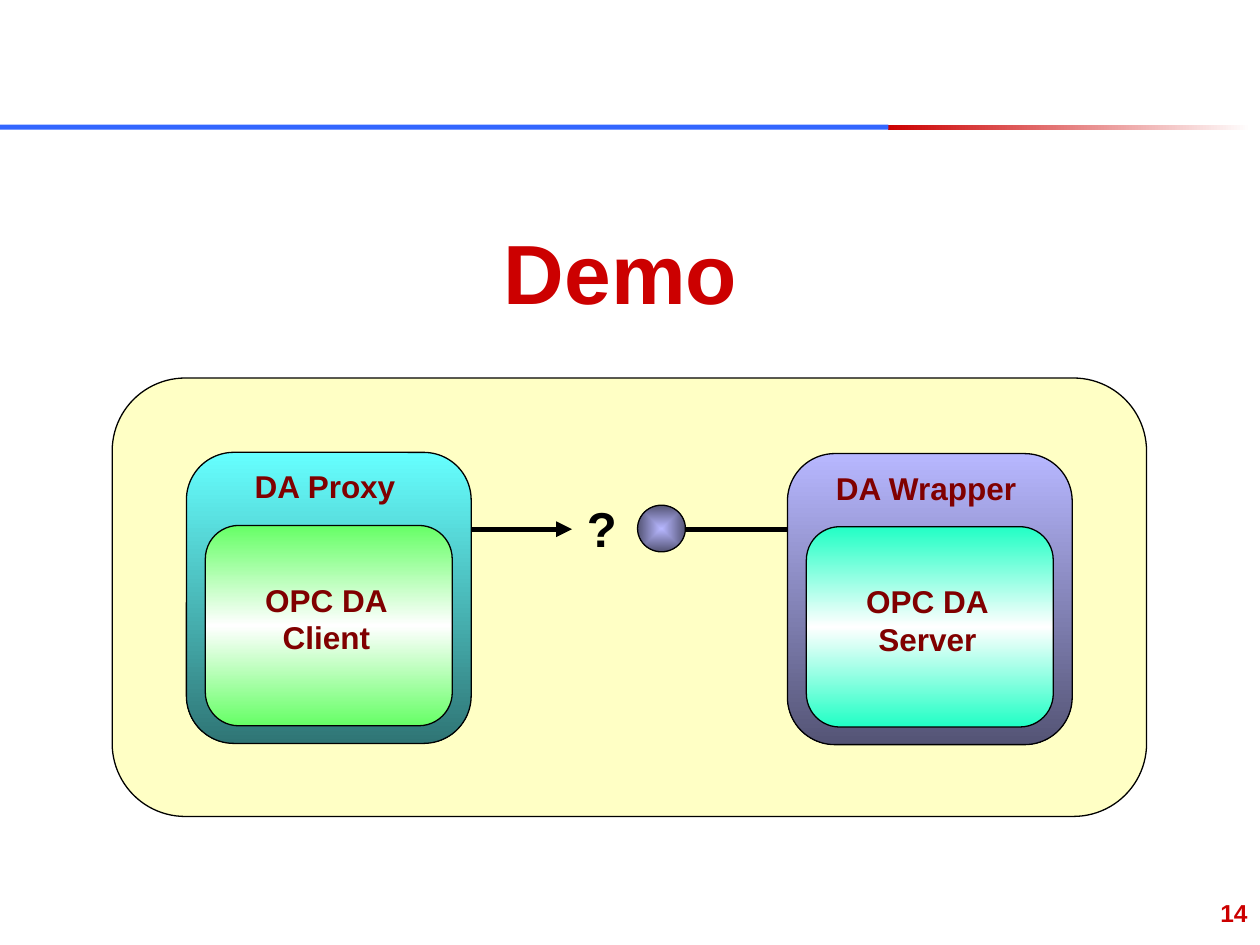
from lxml import etree
from pptx import Presentation
from pptx.dml.color import RGBColor
from pptx.enum import shapes, text
from pptx.oxml import parse_xml
from pptx.oxml.ns import nsdecls, qn
from pptx.util import Inches, Pt

RED, BLACK, MAROON = "CC0000", "000000", "800000"
LILAC = ["B7B7FF", "545475"]
LINEAR = '<a:lin ang="{}" scaled="1"/>'
FROM_CENTRE = ('<a:path path="rect"><a:fillToRect l="50000" t="50000" '
               'r="50000" b="50000"/></a:path>')
ROUND = shapes.MSO_SHAPE.ROUNDED_RECTANGLE


def color(value):
    return RGBColor.from_string(value)


def set_gradient(shape, colors, direction):
    """Spread the colours evenly; direction is the a:lin or a:path element."""
    last = len(colors) - 1
    stops = "".join(
        f'<a:gs pos="{100000 * i // last}"><a:srgbClr val="{c}"/></a:gs>'
        for i, c in enumerate(colors))
    gradient = parse_xml(f'<a:gradFill {nsdecls("a")} rotWithShape="1">'
                         f'<a:gsLst>{stops}</a:gsLst>{direction}</a:gradFill>')
    shape.fill.background()
    properties = shape._element.spPr
    properties.replace(properties.find(qn("a:noFill")), gradient)


def add_shape(slide, kind, box, fill, direction=LINEAR.format(5400000), outline=True):
    """Fill is one colour, or a list of colours for a gradient."""
    shape = slide.shapes.add_shape(kind, *map(Inches, box))
    shape.shadow.inherit = False
    if isinstance(fill, list):
        set_gradient(shape, fill, direction)
    else:
        shape.fill.solid()
        shape.fill.fore_color.rgb = color(fill)
    if outline:
        shape.line.color.rgb = color(BLACK)
        shape.line.width = Pt(0.75)
    else:
        shape.line.fill.background()
    return shape


def add_text(slide, box, lines, size, font_color, align=text.PP_ALIGN.CENTER,
             anchor=text.MSO_ANCHOR.TOP, wrap=False):
    frame = slide.shapes.add_textbox(*map(Inches, box)).text_frame
    frame.word_wrap = wrap
    frame.vertical_anchor = anchor
    frame.text = lines
    for paragraph in frame.paragraphs:
        paragraph.alignment = align
        paragraph.font.name = "Arial"
        paragraph.font.size = Pt(size)
        paragraph.font.bold = True
        paragraph.font.color.rgb = color(font_color)


def add_line(slide, x1, x2, y, arrow=False):
    line = slide.shapes.add_connector(
        shapes.MSO_CONNECTOR.STRAIGHT, Inches(x1), Inches(y), Inches(x2), Inches(y))
    line.line.color.rgb = color(BLACK)
    line.line.width = Pt(3)
    if arrow:
        etree.SubElement(line.line._get_or_add_ln(), qn("a:tailEnd"), type="triangle")
    etree.SubElement(line._element.spPr, qn("a:effectLst"))


def add_header_rule(slide, left, top, width, height):
    blue_width = 7.05
    rectangle = shapes.MSO_SHAPE.RECTANGLE
    add_shape(slide, rectangle, (left + blue_width, top, width - blue_width, height),
              ["FFFFFF", RED], LINEAR.format(10800000), outline=False)
    add_shape(slide, rectangle, (left, top, blue_width, height), "3366FF", outline=False)


def add_component(slide, left, top, name, outer_fill, role, inner_color):
    """A named outer block holding an OPC block."""
    width, inner_width = 2.26, 1.96
    add_shape(slide, ROUND, (left, top, width, 2.31), outer_fill)
    add_text(slide, (left, top + 0.07, 2.2, 0.4), name, 18, MAROON)
    inner_left = left + (width - inner_width) / 2
    add_shape(slide, ROUND, (inner_left, top + 0.58, inner_width, 1.59),
              [inner_color, "FFFFFF", inner_color])
    add_text(slide, (inner_left, top + 0.97, 1.92, 0.7), f"OPC DA\n{role}", 18, MAROON)


def add_diagram(slide, left, top, width, height):
    add_shape(slide, ROUND, (left, top, width, height), "FFFFC5")
    proxy_left, wrapper_left = left + 0.59, left + 5.36
    link_y = top + 1.2
    add_component(slide, wrapper_left, top + 0.6, "DA Wrapper", LILAC, "Server", "21FFC5")
    add_component(slide, proxy_left, top + 0.59, "DA Proxy", ["66FFFF", "2F7575"],
                  "Client", "66FF66")

    # Interface ball of the wrapper
    ball_left, ball_width = left + 4.17, 0.38
    add_shape(slide, shapes.MSO_SHAPE.OVAL, (ball_left, link_y - 0.19, ball_width, 0.37),
              LILAC, FROM_CENTRE)
    add_line(slide, ball_left + ball_width, wrapper_left, link_y)

    # Open call from the proxy
    add_line(slide, proxy_left + 2.26, left + 3.65, link_y, arrow=True)
    add_text(slide, (left + 3.67, top + 0.91, 0.44, 0.57), "?", 28, BLACK,
             text.PP_ALIGN.LEFT)


def main():
    presentation = Presentation()
    presentation.slide_width, presentation.slide_height = Inches(10), Inches(7.5)
    slide = presentation.slides.add_slide(presentation.slide_layouts[6])

    add_header_rule(slide, 0, 0.99, 9.93, 0.04)
    add_diagram(slide, 0.89, 3, 8.21, 3.48)
    # Title and page number
    add_text(slide, (1.51, 1.6, 6.83, 1.1), "Demo", 48, RED,
             anchor=text.MSO_ANCHOR.MIDDLE, wrap=True)
    add_text(slide, (7.92, 7.08, 2.08, 0.42), "14", 14, RED, text.PP_ALIGN.RIGHT, wrap=True)

    presentation.save("out.pptx")


if __name__ == "__main__":
    main()
